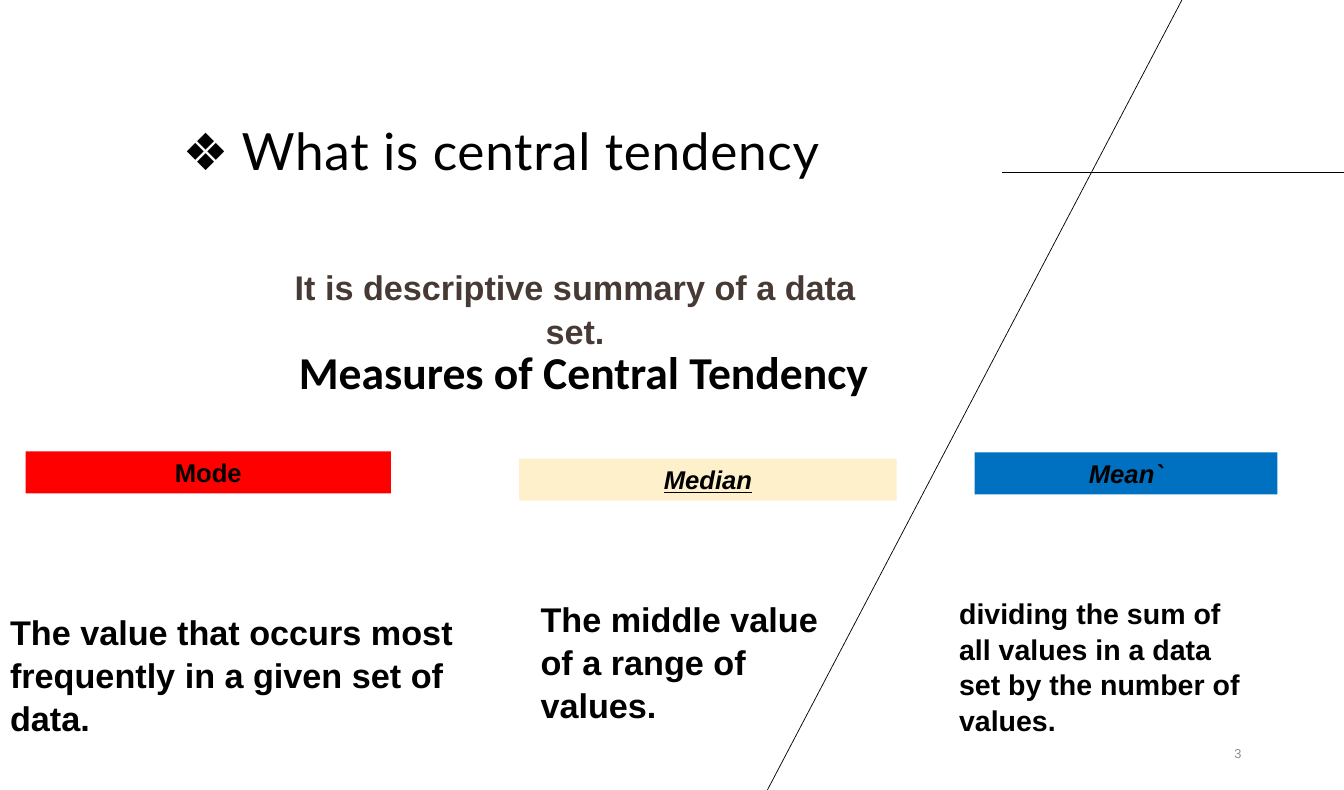
from dataclasses import dataclass
from typing import Optional

from lxml.etree import SubElement
from pptx import Presentation
from pptx.dml.color import RGBColor
from pptx.enum.shapes import MSO_CONNECTOR, MSO_SHAPE
from pptx.enum.text import MSO_ANCHOR, MSO_AUTO_SIZE, PP_ALIGN
from pptx.oxml.ns import qn
from pptx.util import Inches, Pt


@dataclass(frozen=True)
class Theme:
    ink: str = "000000"
    brown: str = "473A35"
    grey: str = "8C8C8C"
    red: str = "FF0000"
    cream: str = "FDF0CA"
    blue: str = "0070C0"
    sans: str = "Arial"
    heading: str = "Calibri"
    title: str = "Lato"
    title_size: int = 36
    heading_size: int = 32
    body_size: int = 24
    small_size: int = 20
    label_size: int = 18
    number_size: int = 9
    line_spacing: float = 1.05
    rule_width: float = 0.5


@dataclass(frozen=True)
class Area:
    left: float
    top: float
    width: float
    height: float


@dataclass(frozen=True)
class Style:
    size: int
    color: str = Theme.ink
    font: str = Theme.sans
    bold: bool = True
    italic: bool = False
    underline: bool = False


@dataclass(frozen=True)
class Block:
    area: Area
    text: str
    style: Style
    align: PP_ALIGN = PP_ALIGN.LEFT
    anchor: MSO_ANCHOR = MSO_ANCHOR.TOP
    spacing: Optional[float] = None
    fill: Optional[str] = None


@dataclass(frozen=True)
class Rule:
    x1: float
    y1: float
    x2: float
    y2: float


T = Theme()
SLIDE_W, SLIDE_H = Inches(13.1), Inches(7.7)
LABEL_H = 5.32
COLUMN_W = 22.52
LABEL = Style(T.label_size)
BODY = Style(T.body_size)

TITLE_AREA = Area(12.82, 14.42, 63.51, 13.25)
TITLE_RUNS = (
    ("❖ ", Style(T.title_size, font=T.heading, bold=False)),
    ("What is central tendency", Style(T.title_size, font=T.title, bold=False)),
)
RULES = (Rule(74.58, 21.82, 100, 21.82), Rule(87.94, 0, 57.1, 100))
BLOCKS = (
    Block(Area(19.54, 34.42, 46.49, 9.09), "It is descriptive summary of a data set.",
          Style(T.body_size, T.brown), PP_ALIGN.CENTER, MSO_ANCHOR.MIDDLE, T.line_spacing),
    Block(Area(70.61, 92.73, COLUMN_W, LABEL_H), "3",
          Style(T.number_size, T.grey, bold=False), PP_ALIGN.RIGHT, MSO_ANCHOR.MIDDLE),
    Block(Area(0.61, 42.86, 85.65, 8.57), "Measures of Central Tendency",
          Style(T.heading_size, font=T.heading), PP_ALIGN.CENTER),
    Block(Area(1.91, 57.14, 27.18, LABEL_H), "Mode", LABEL,
          PP_ALIGN.CENTER, fill=T.red),
    Block(Area(0, 76.49, 38.93, 17.53),
          "The value that occurs most frequently in a given set of data.",
          BODY, spacing=T.line_spacing),
    Block(Area(38.63, 58.05, 28.09, LABEL_H), "Median",
          Style(T.label_size, italic=True, underline=True),
          PP_ALIGN.CENTER, MSO_ANCHOR.MIDDLE, fill=T.cream),
    Block(Area(39.47, 74.81, COLUMN_W, 17.66), "The middle value of a range of values.",
          BODY, spacing=T.line_spacing),
    Block(Area(72.52, 57.27, COLUMN_W, LABEL_H), "Mean`",
          Style(T.label_size, italic=True), PP_ALIGN.CENTER, fill=T.blue),
    Block(Area(70.61, 74.55, COLUMN_W, 19.35),
          "dividing the sum of all values in a data set by the number of values.",
          Style(T.small_size), spacing=T.line_spacing),
)


def across(share: float) -> int:
    return round(SLIDE_W * share / 100)


def down(share: float) -> int:
    return round(SLIDE_H * share / 100)


def bounds(area: Area) -> tuple[int, int, int, int]:
    return across(area.left), down(area.top), across(area.width), down(area.height)


def format_run(r, style: Style) -> None:
    font = r.font
    font.name, font.size = style.font, Pt(style.size)
    font.bold, font.italic, font.underline = style.bold, style.italic, style.underline
    font.color.rgb = RGBColor.from_string(style.color)


def format_frame(tf, anchor: MSO_ANCHOR, align: PP_ALIGN) -> None:
    tf.word_wrap = True
    tf.auto_size = MSO_AUTO_SIZE.NONE
    tf.vertical_anchor = anchor
    tf.paragraphs[0].alignment = align


def draw_title(s) -> None:
    sp = s.shapes.title
    sp.left, sp.top, sp.width, sp.height = bounds(TITLE_AREA)
    tf = sp.text_frame
    format_frame(tf, MSO_ANCHOR.TOP, PP_ALIGN.LEFT)
    for text, style in TITLE_RUNS:
        r = tf.paragraphs[0].add_run()
        r.text = text
        format_run(r, style)
        r.font._element.set("spc", "50")


def draw_rule(s, rule: Rule) -> None:
    sp = s.shapes.add_connector(MSO_CONNECTOR.STRAIGHT, across(rule.x1), down(rule.y1),
                                across(rule.x2), down(rule.y2))
    sp.line.color.rgb = RGBColor.from_string(T.ink)
    sp.line.width = Pt(T.rule_width)
    SubElement(sp._element.spPr, qn("a:effectLst"))


def draw_block(s, block: Block) -> None:
    if block.fill:
        sp = s.shapes.add_shape(MSO_SHAPE.RECTANGLE, *bounds(block.area))
        sp.shadow.inherit = False
        sp.fill.solid()
        sp.fill.fore_color.rgb = RGBColor.from_string(block.fill)
        sp.line.fill.background()
    else:
        sp = s.shapes.add_textbox(*bounds(block.area))
    tf = sp.text_frame
    tf.text = block.text
    format_frame(tf, block.anchor, block.align)
    p = tf.paragraphs[0]
    if block.spacing:
        p.line_spacing = block.spacing
    format_run(p.runs[0], block.style)


def main() -> None:
    prs = Presentation()
    prs.slide_width, prs.slide_height = SLIDE_W, SLIDE_H
    s = prs.slides.add_slide(prs.slide_layouts.get_by_name("Title Only"))
    for rule in RULES:
        draw_rule(s, rule)
    draw_title(s)
    for block in BLOCKS:
        draw_block(s, block)
    prs.save("out.pptx")


if __name__ == "__main__":
    main()
